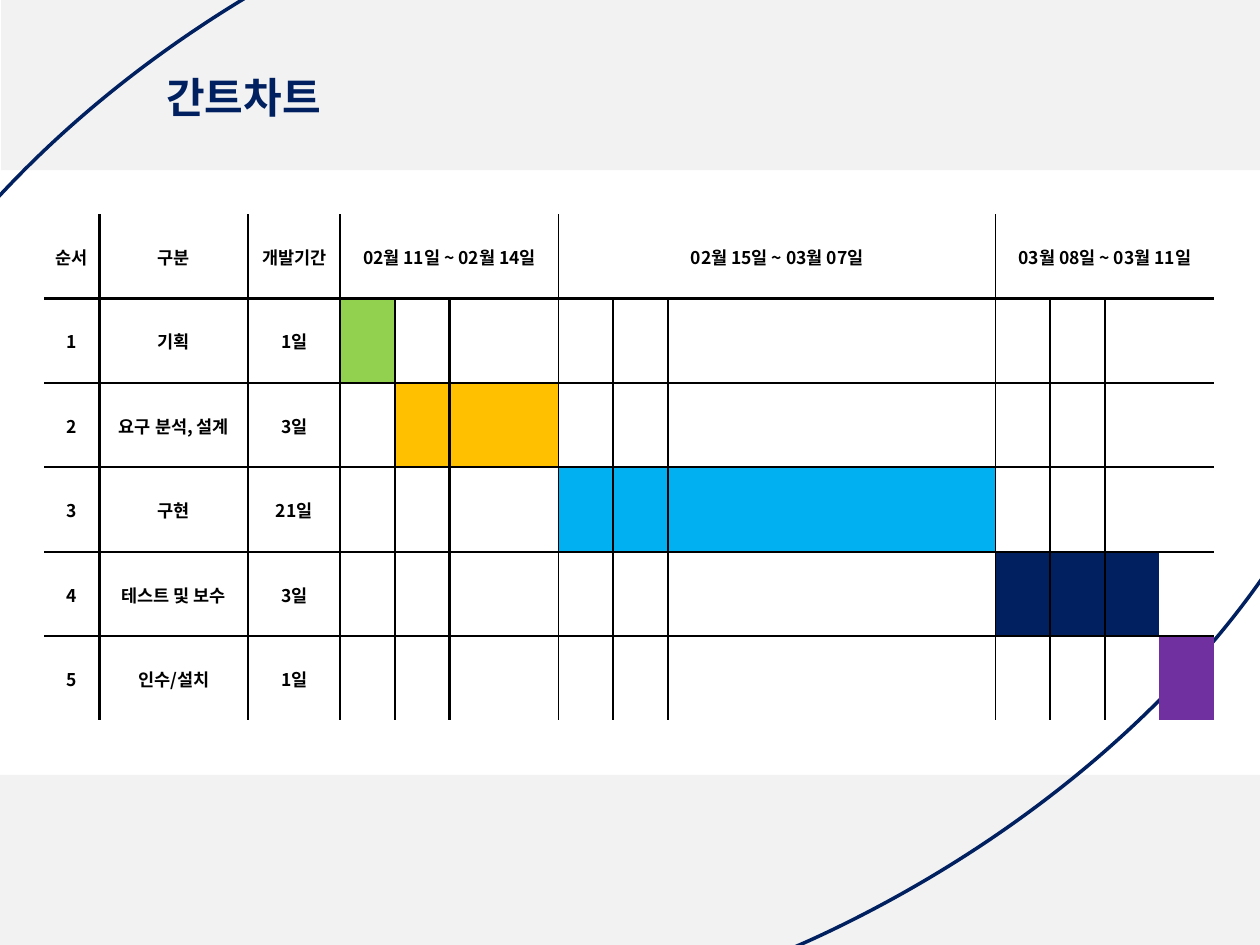
"""Build a Gantt chart slide for a five-step development schedule."""
from dataclasses import dataclass

from lxml.etree import SubElement
from pptx import Presentation
from pptx.dml.color import RGBColor
from pptx.enum.shapes import MSO_SHAPE
from pptx.enum.text import MSO_ANCHOR, MSO_AUTO_SIZE, PP_ALIGN
from pptx.oxml.ns import qn
from pptx.util import Inches, Pt


@dataclass(frozen=True)
class Theme:
    font: str = "Noto Sans CJK KR"
    navy: str = "002060"
    black: str = "000000"
    band: str = "F2F2F2"
    green: str = "92D050"
    amber: str = "FFC000"
    blue: str = "00B0F0"
    purple: str = "7030A0"
    title_size: float = 24
    cell_size: float = 10
    arc_width: float = 2
    rule: float = 1.5
    thin_rule: float = 1
    plain_table: str = "{2D5ABB26-0587-4C30-8999-92F81FD0307C}"


THEME = Theme()
LABEL_WIDTHS = [0.44, 1.18, 0.73]
LABELS = ["순서", "구분", "개발기간"]
TABLE_BOX = (0.35, 1.7, 9.29, 4.02)
PERIODS = [
    ("02월 11일 ~ 02월 14일", 4),
    ("02월 15일 ~ 03월 07일", 8),
    ("03월 08일 ~ 03월 11일", 4),
]
TASKS = [
    ("기획", "1일", 0, 1, THEME.green),
    ("요구 분석, 설계", "3일", 1, 3, THEME.amber),
    ("구현", "21일", 4, 8, THEME.blue),
    ("테스트 및 보수", "3일", 12, 3, THEME.navy),
    ("인수/설치", "1일", 15, 1, THEME.purple),
]


class GanttSlide:
    def __init__(self, deck, theme):
        self.theme = theme
        self.slide = deck.slides.add_slide(deck.slide_layouts[6])

    def style(self, paragraph, size, color):
        font = paragraph.font
        font.size, font.bold, font.name = Pt(size), True, self.theme.font
        font.color.rgb = RGBColor.from_string(color)
        properties = paragraph._p.pPr.find(qn("a:defRPr"))
        SubElement(properties, qn("a:ea"), typeface=self.theme.font)

    def band(self, left, top):
        band = self.slide.shapes.add_shape(
            MSO_SHAPE.RECTANGLE, Inches(left), Inches(top), Inches(10), Inches(1.35))
        band.shadow.inherit = False
        band.fill.solid()
        band.fill.fore_color.rgb = RGBColor.from_string(self.theme.band)
        band.line.fill.background()

    def heading(self, text):
        group = self.slide.shapes.add_group_shape()
        arc = group.shapes.add_shape(
            MSO_SHAPE.TEAR, Inches(-1.94), Inches(-0.91), Inches(13.27), Inches(8.73))
        arc.adjustments[0] = 0.69
        arc.rotation = 154.5
        arc.shadow.inherit = False
        arc.fill.background()
        arc.line.color.rgb = RGBColor.from_string(self.theme.navy)
        arc.line.width = Pt(self.theme.arc_width)
        title = group.shapes.add_textbox(
            Inches(1.22), Inches(0.52), Inches(1.55), Inches(0.5)).text_frame
        title.word_wrap = False
        title.auto_size = MSO_AUTO_SIZE.SHAPE_TO_FIT_TEXT
        title.text = text
        self.style(title.paragraphs[0], self.theme.title_size, self.theme.navy)

    def label(self, cell, text):
        cell.text = text
        cell.vertical_anchor = MSO_ANCHOR.MIDDLE
        cell.margin_left = cell.margin_right = cell.margin_top = Inches(0.01)
        cell.margin_bottom = 0
        paragraph = cell.text_frame.paragraphs[0]
        paragraph.alignment = PP_ALIGN.CENTER
        self.style(paragraph, self.theme.cell_size, self.theme.black)

    def borders(self, cell, left, right, top, bottom):
        properties = cell._tc.get_or_add_tcPr()
        for side, width in zip("LRTB", (left, right, top, bottom)):
            if width:
                line = SubElement(properties, qn(f"a:ln{side}"), w=str(Pt(width)))
                fill = SubElement(line, qn("a:solidFill"))
                SubElement(fill, qn("a:srgbClr"), val=self.theme.black)

    def gantt(self, periods, tasks):
        first_day = len(LABELS)
        days = sum(span for _, span in periods)
        left, top, width, height = TABLE_BOX
        rows, columns = len(tasks) + 1, first_day + days
        table = self.slide.shapes.add_table(
            rows, columns, Inches(left), Inches(top), Inches(width), Inches(height)).table
        table._tbl.tblPr.find(qn("a:tableStyleId")).text = self.theme.plain_table
        table.first_row = table.horz_banding = False
        day_width = (width - sum(LABEL_WIDTHS)) / days
        for column, size in zip(table.columns, LABEL_WIDTHS + [day_width] * days):
            column.width = Inches(size)
        for row in table.rows:
            row.height = Inches(height / rows)

        header_edges = {edge: self.theme.rule for edge in range(1, first_day + 1)}
        body_edges = dict(header_edges)
        start, merges = first_day, []
        for text, span in periods:
            end = start + span
            body_edges[start + 1] = self.theme.rule
            if end < columns:
                header_edges[end] = body_edges[end] = self.theme.thin_rule
            merges.append((text, start, end))
            start = end

        period_ends = {start: end for _, start, end in merges}
        for r in range(rows):
            edges = body_edges if r else header_edges
            for c in range(columns):
                cell = table.cell(r, c)
                right_edge = c + 1 if r else period_ends.get(c, c + 1)
                self.borders(cell, edges.get(c), edges.get(right_edge),
                             self.theme.rule if r else None,
                             self.theme.rule if r < rows - 1 else None)
                cell.fill.background()

        for c, text in enumerate(LABELS):
            self.label(table.cell(0, c), text)
        for text, start, end in merges:
            table.cell(0, start).merge(table.cell(0, end - 1))
            self.label(table.cell(0, start), text)
        for r, (name, duration, offset, length, color) in enumerate(tasks, 1):
            for c, text in enumerate((str(r), name, duration)):
                self.label(table.cell(r, c), text)
            for c in range(first_day + offset, first_day + offset + length):
                fill = table.cell(r, c).fill
                fill.solid()
                fill.fore_color.rgb = RGBColor.from_string(color)


def main():
    deck = Presentation()
    deck.slide_width, deck.slide_height = Inches(10), Inches(7.5)
    page = GanttSlide(deck, THEME)
    page.band(0.01, 0)
    page.band(0, 6.15)
    page.heading("간트차트")
    page.gantt(PERIODS, TASKS)
    deck.save("out.pptx")


if __name__ == "__main__":
    main()
